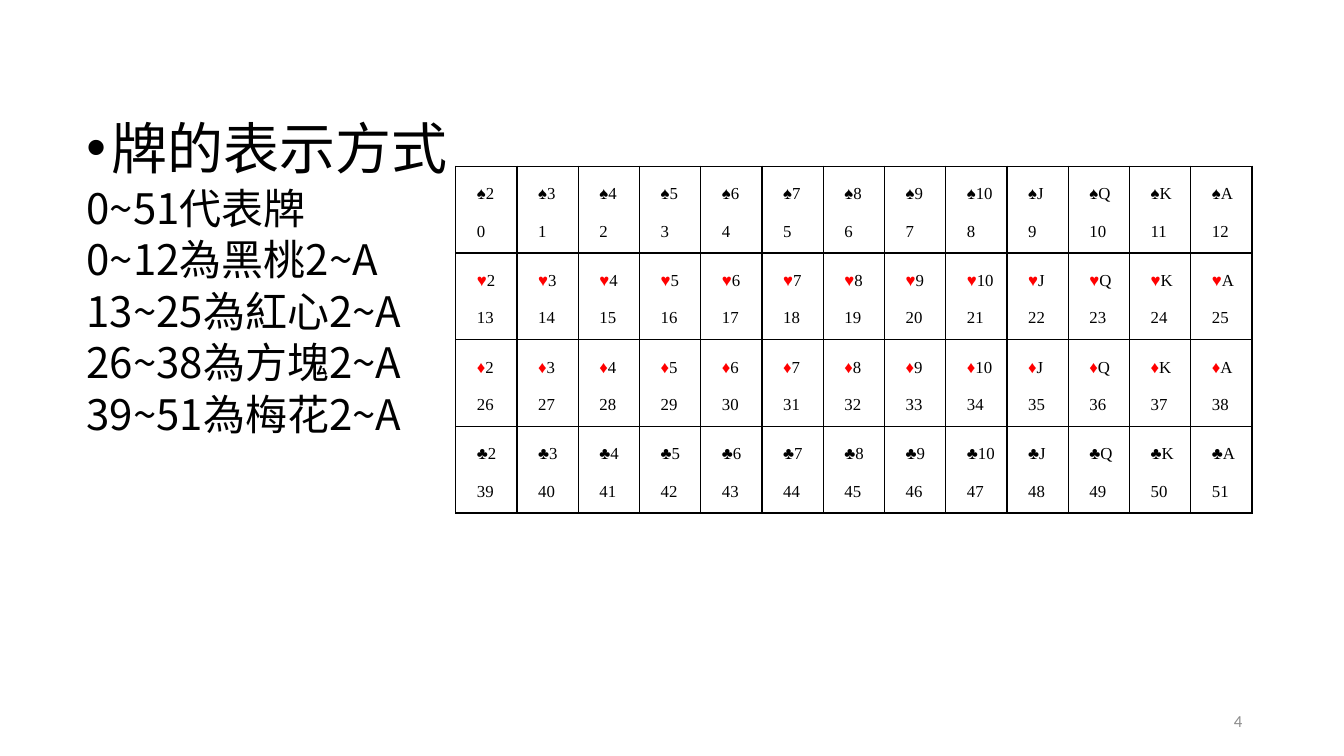
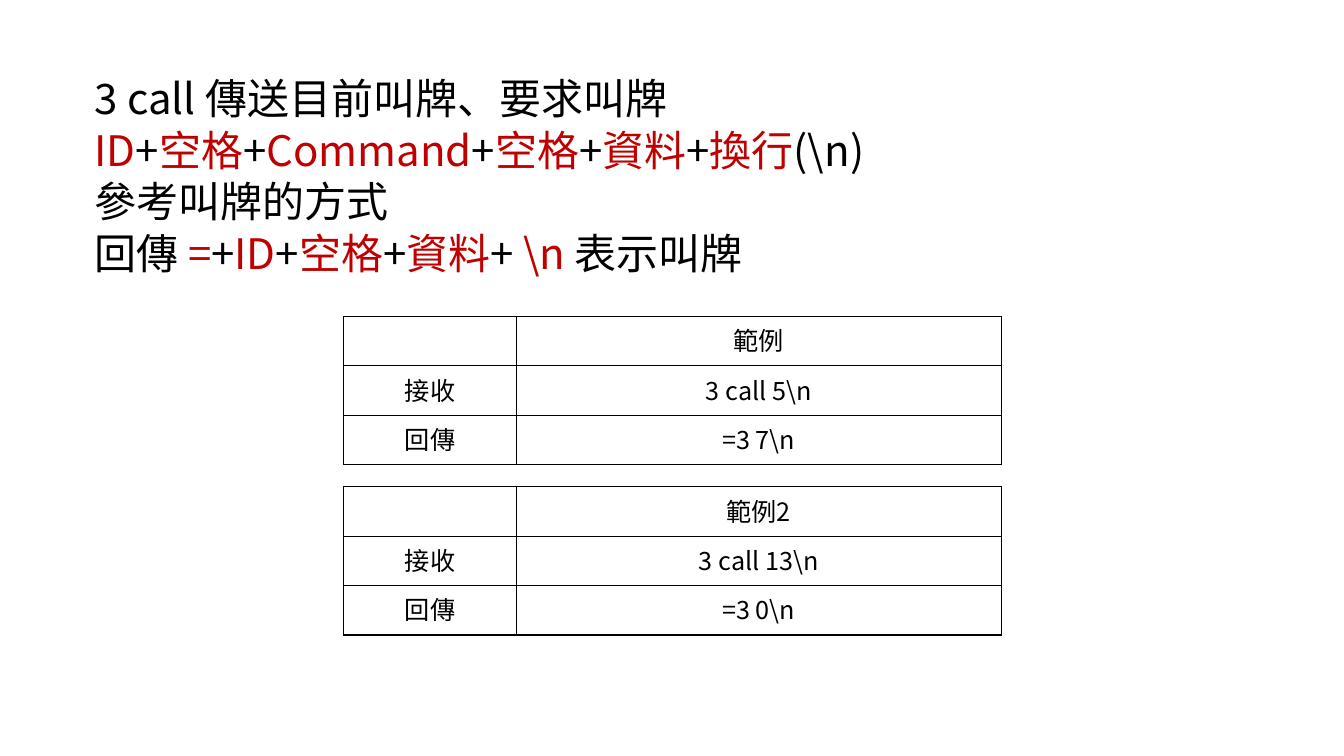
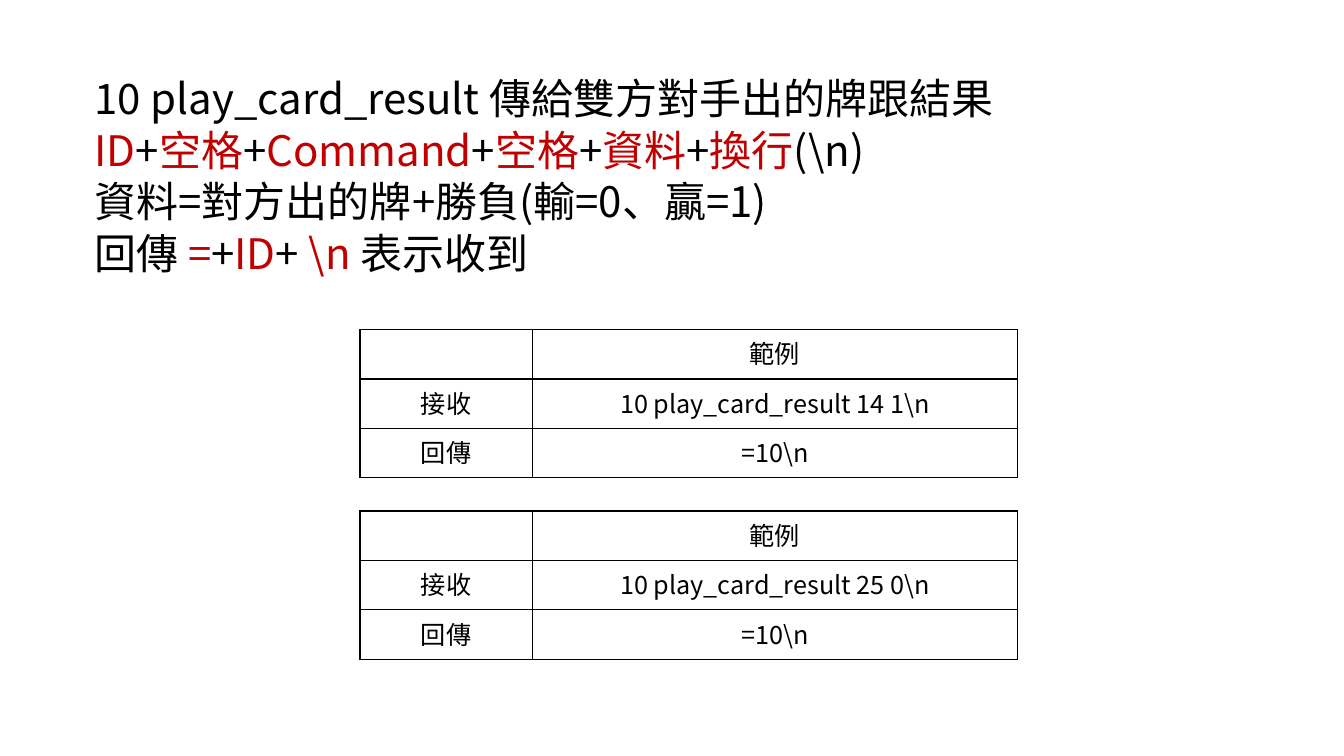
"""Build three slides on card numbering and the call and play_card_result commands."""
import lxml.etree
import pptx
import pptx.dml.color
import pptx.enum.text
import pptx.oxml
import pptx.oxml.ns
import pptx.util

Inches, Pt = pptx.util.Inches, pptx.util.Pt
qn = pptx.oxml.ns.qn
ALIGN = pptx.enum.text.PP_ALIGN
SANS, SERIF = "Noto Sans CJK SC", "Times New Roman"
BLACK, GREY, DARK_RED, RED = "000000", "8C8C8C", "C00000", "FF0000"
BODY = dict(size=30, spacing=0.8, before=8)


def write(tf, lines, size, font=SANS, color=BLACK, accent=DARK_RED, align=ALIGN.LEFT,
          spacing=1.0, before=0, indent=0):
    """Write one paragraph per line; parts between asterisks take the accent colour."""
    tf.word_wrap = True
    for n, line in enumerate(lines):
        p = tf.add_paragraph() if n else tf.paragraphs[0]
        p.alignment, p.line_spacing, p.space_before = align, spacing, Pt(before)
        if indent:
            p._p.get_or_add_pPr().set("indent", str(Inches(indent)))
        for i, part in enumerate(line.split("*")):
            if part:
                r = p.add_run()
                r.text = part
                r.font.size, r.font.name = Pt(size), font
                r.font.color.rgb = pptx.dml.color.RGBColor.from_string(accent if i % 2 else color)
                ea = lxml.etree.SubElement(r._r.get_or_add_rPr(), qn("a:ea"))
                ea.set("typeface", font)


def grid(s, left, top, widths, height, rows, margins=None, **style):
    """Add a table with thin black borders; every cell is a list of lines."""
    table = s.shapes.add_table(len(rows), len(widths), Inches(left), Inches(top),
                               Inches(sum(widths)), Inches(height * len(rows))).table
    table.first_row = table.horz_banding = False
    for col, width in zip(table.columns, widths):
        col.width = Inches(width)
    for row, cells in zip(table.rows, rows):
        row.height = Inches(height)
        for cell, lines in zip(row.cells, cells):
            if margins:
                cell.margin_left = cell.margin_right = Inches(margins[0])
                cell.margin_top = cell.margin_bottom = Inches(margins[1])
            write(cell.text_frame, lines, **style)
            tcPr = cell._tc.get_or_add_tcPr()
            for side in ("lnL", "lnR", "lnT", "lnB"):
                ln = lxml.etree.SubElement(tcPr, qn("a:" + side), w=str(Pt(1)))
                fill = lxml.etree.SubElement(ln, qn("a:solidFill"))
                lxml.etree.SubElement(fill, qn("a:srgbClr"), val=BLACK)
            cell.fill.background()


prs = pptx.Presentation()
prs.slide_width, prs.slide_height = Inches(13.33), Inches(7.5)
blank = prs.slide_layouts[6]

s = prs.slides.add_slide(blank)
tf = s.shapes.add_textbox(Inches(0.76), Inches(1.21), Inches(11.66), Inches(4.53)).text_frame
write(tf, ["牌的表示方式", "0~51代表牌", "0~12為黑桃2~A", "13~25為紅心2~A",
           "26~38為方塊2~A", "39~51為梅花2~A"], **BODY)
p = tf.paragraphs[0]
p.runs[0].font.size = Pt(40)
pPr = p._p.get_or_add_pPr()
pPr.set("marL", str(Inches(0.25)))
pPr.set("indent", str(Inches(-0.25)))
lxml.etree.SubElement(pPr, qn("a:buFont"), typeface="Arial")
lxml.etree.SubElement(pPr, qn("a:buChar"), char="•")

ranks = "2 3 4 5 6 7 8 9 10 J Q K A".split()
cards = [[[suit + rank, str(len(ranks) * n + i)] for i, rank in enumerate(ranks)]
         for n, suit in enumerate(["♠", "*♥*", "*♦*", "♣"])]
grid(s, 4.52, 1.65, [7.9 / len(ranks)] * len(ranks), 0.86, cards, margins=(0.07, 0),
     size=12, font=SERIF, accent=RED, spacing=2.0, indent=0.14)

sp = s.shapes.add_textbox(Inches(9.42), Inches(6.95), Inches(3), Inches(0.4))
sp.text_frame.vertical_anchor = pptx.enum.text.MSO_ANCHOR.MIDDLE
write(sp.text_frame, ["4"], size=12, font="Calibri", color=GREY, align=ALIGN.RIGHT)

message = r"*ID*+*空格*+*Command*+*空格*+*資料*+*換行*(\n)"
commands = [
    (11.66, 3.41,
     ["3 call 傳送目前叫牌、要求叫牌", message, "參考叫牌的方式",
      r"回傳 *=*+*ID*+*空格*+*資料*+ *\n *表示叫牌"],
     [(3.14, "範例", r"3 call 5\n", r"=3 7\n"),
      (4.83, "範例2", r"3 call 13\n", r"=3 0\n")]),
    (11.99, 3.57,
     ["10 play_card_result 傳給雙方對手出的牌跟結果", message,
      "資料=對方出的牌+勝負(輸=0、贏=1)", r"回傳 *=*+*ID*+ *\n *表示收到"],
     [(3.27, "範例", r"10 play_card_result 14 1\n", r"=10\n"),
      (5.07, "範例", r"10 play_card_result 25 0\n", r"=10\n")]),
]
for width, left, lines, examples in commands:
    s = prs.slides.add_slide(blank)
    sp = s.shapes.add_textbox(Inches(0.84), Inches(0.77), Inches(width), Inches(4.53))
    write(sp.text_frame, lines, **BODY)
    for top, heading, received, reply in examples:
        rows = [[[], [heading]], [["接收"], [received]], [["回傳"], [reply]]]
        grid(s, left, top, [1.71, 4.81], 0.49, rows, size=18, align=ALIGN.CENTER)

prs.save("out.pptx")
